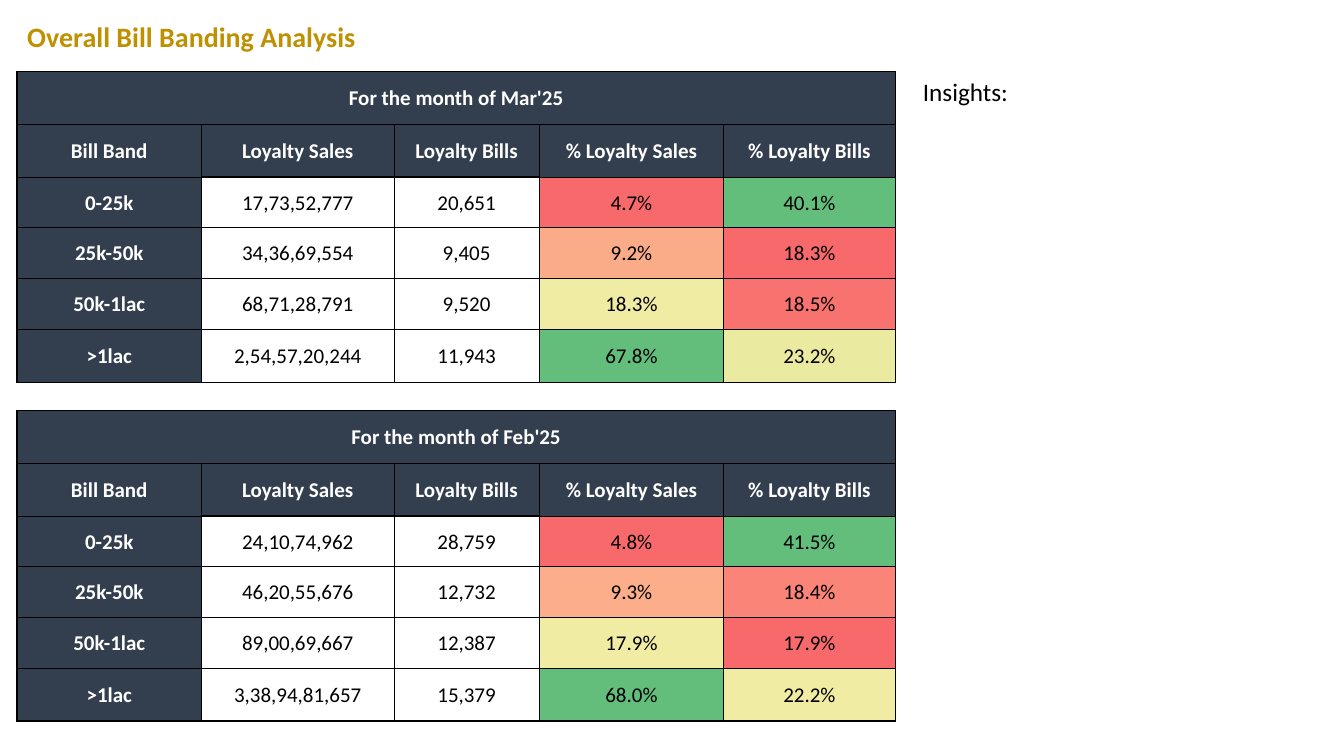
"""Build the overall bill banding slide with one table per month."""
from lxml import etree
from pptx import Presentation
from pptx.dml.color import RGBColor
from pptx.enum.text import MSO_ANCHOR, MSO_AUTO_SIZE, PP_ALIGN
from pptx.oxml.ns import qn
from pptx.util import Cm, Pt

LEFT, CENTER = PP_ALIGN.LEFT, PP_ALIGN.CENTER
TOP, MIDDLE = MSO_ANCHOR.TOP, MSO_ANCHOR.MIDDLE
NO_AUTOFIT = MSO_AUTO_SIZE.NONE

FONT = "Calibri"
COLORS = {
    "gold": "BF9000",
    "navy": "333F4F",
    "white": "FFFFFF",
    "black": "000000",
    "red": "F8696B",
    "light red": "F8736F",
    "salmon": "F98477",
    "orange": "FAAC88",
    "soft orange": "FBAE89",
    "yellow": "F1ECA3",
    "pale yellow": "F0ECA3",
    "lime": "EBEAA1",
    "green": "63BE7B",
}

TITLE = "Overall Bill Banding Analysis"
INSIGHTS = "Insights:"
HEADINGS = ["Bill Band", "Loyalty Sales", "Loyalty Bills", "% Loyalty Sales", "% Loyalty Bills"]
MONTHS = [
    {
        "caption": "For the month of Mar'25",
        "top": 1.8,
        "bands": [
            ["0-25k", "17,73,52,777", "20,651", "4.7%", "40.1%"],
            ["25k-50k", "34,36,69,554", "9,405", "9.2%", "18.3%"],
            ["50k-1lac", "68,71,28,791", "9,520", "18.3%", "18.5%"],
            [">1lac", "2,54,57,20,244", "11,943", "67.8%", "23.2%"],
        ],
        "shades": [("red", "green"), ("orange", "red"), ("yellow", "light red"), ("green", "lime")],
    },
    {
        "caption": "For the month of Feb'25",
        "top": 10.34,
        "bands": [
            ["0-25k", "24,10,74,962", "28,759", "4.8%", "41.5%"],
            ["25k-50k", "46,20,55,676", "12,732", "9.3%", "18.4%"],
            ["50k-1lac", "89,00,69,667", "12,387", "17.9%", "17.9%"],
            [">1lac", "3,38,94,81,657", "15,379", "68.0%", "22.2%"],
        ],
        "shades": [("red", "green"), ("soft orange", "salmon"), ("yellow", "red"), ("green", "pale yellow")],
    },
]

TABLE_LEFT = 0.43
COLUMN_WIDTHS = [4.65, 4.85, 3.66, 4.65, 4.32]
ROW_HEIGHTS = [1.33, 1.33, 1.28, 1.28, 1.28, 1.33]
HEADER_ROWS = 2
SHADE_START = 3
THIN, THICK = Pt(0.5), Pt(1)


def set_text(frame, text, size, color, bold=False, align=LEFT):
    frame.text = text
    paragraph = frame.paragraphs[0]
    paragraph.alignment = align
    font = paragraph.font
    font.name, font.size, font.bold = FONT, Pt(size), bold
    font.color.rgb = RGBColor.from_string(COLORS[color])


def vertical_edge(row, boundary):
    outer = boundary in (0, len(COLUMN_WIDTHS))
    return THICK if outer or (boundary == 1 and row >= HEADER_ROWS) else THIN


def horizontal_edge(boundary, column):
    outer = boundary in (0, len(ROW_HEIGHTS))
    return THICK if outer or (boundary == HEADER_ROWS and column in (1, 2)) else THIN


def set_borders(cell, row, column):
    right = len(COLUMN_WIDTHS) if row == 0 else column + 1
    edges = {
        "a:lnL": vertical_edge(row, column),
        "a:lnR": vertical_edge(row, right),
        "a:lnT": horizontal_edge(row, column),
        "a:lnB": horizontal_edge(row + 1, column),
    }
    properties = cell._tc.get_or_add_tcPr()
    for position, (tag, width) in enumerate(edges.items()):
        line = etree.Element(qn(tag), w=str(int(width)))
        fill = etree.SubElement(line, qn("a:solidFill"))
        etree.SubElement(fill, qn("a:srgbClr"), val=COLORS["black"])
        properties.insert(position, line)


def cell_shade(month, row, column):
    if row < HEADER_ROWS or column == 0:
        return "navy"
    if column >= SHADE_START:
        return month["shades"][row - HEADER_ROWS][column - SHADE_START]
    return None


def add_month(slide, month):
    caption_row = [month["caption"]] + [""] * (len(HEADINGS) - 1)
    rows = [caption_row, HEADINGS, *month["bands"]]
    table = slide.shapes.add_table(
        len(rows), len(HEADINGS), Cm(TABLE_LEFT), Cm(month["top"]),
        Cm(sum(COLUMN_WIDTHS)), Cm(sum(ROW_HEIGHTS)),
    ).table
    table.first_row = table.horz_banding = False
    for column, width in zip(table.columns, COLUMN_WIDTHS):
        column.width = Cm(width)
    for row, height in zip(table.rows, ROW_HEIGHTS):
        row.height = Cm(height)
    table.cell(0, 0).merge(table.cell(0, len(HEADINGS) - 1))

    for r, texts in enumerate(rows):
        for c, text in enumerate(texts):
            cell = table.cell(r, c)
            shade = cell_shade(month, r, c)
            is_label = shade == "navy"
            set_text(cell.text_frame, text, 15, "white" if is_label else "black", is_label, CENTER)
            cell.vertical_anchor = MIDDLE
            cell.margin_left = cell.margin_right = cell.margin_top = Cm(0.03)
            cell.margin_bottom = 0
            if shade:
                cell.fill.solid()
                cell.fill.fore_color.rgb = RGBColor.from_string(COLORS[shade])
            else:
                cell.fill.background()
            set_borders(cell, r, c)


def main():
    deck = Presentation()
    deck.slide_width, deck.slide_height = Cm(33.87), Cm(19.05)
    slide = deck.slides.add_slide(deck.slide_layouts[5])

    title = slide.shapes.title
    title.left, title.top, title.width, title.height = Cm(0.43), Cm(0.36), Cm(29.57), Cm(1.11)
    title.text_frame.auto_size = NO_AUTOFIT
    title.text_frame.vertical_anchor = TOP
    set_text(title.text_frame, TITLE, 20, "gold", bold=True)

    insights = slide.shapes.add_textbox(Cm(23.01), Cm(1.8), Cm(9.45), Cm(1.03))
    insights.text_frame.word_wrap = True
    set_text(insights.text_frame, INSIGHTS, 18, "black")

    for month in MONTHS:
        add_month(slide, month)
    deck.save("out.pptx")


if __name__ == "__main__":
    main()
